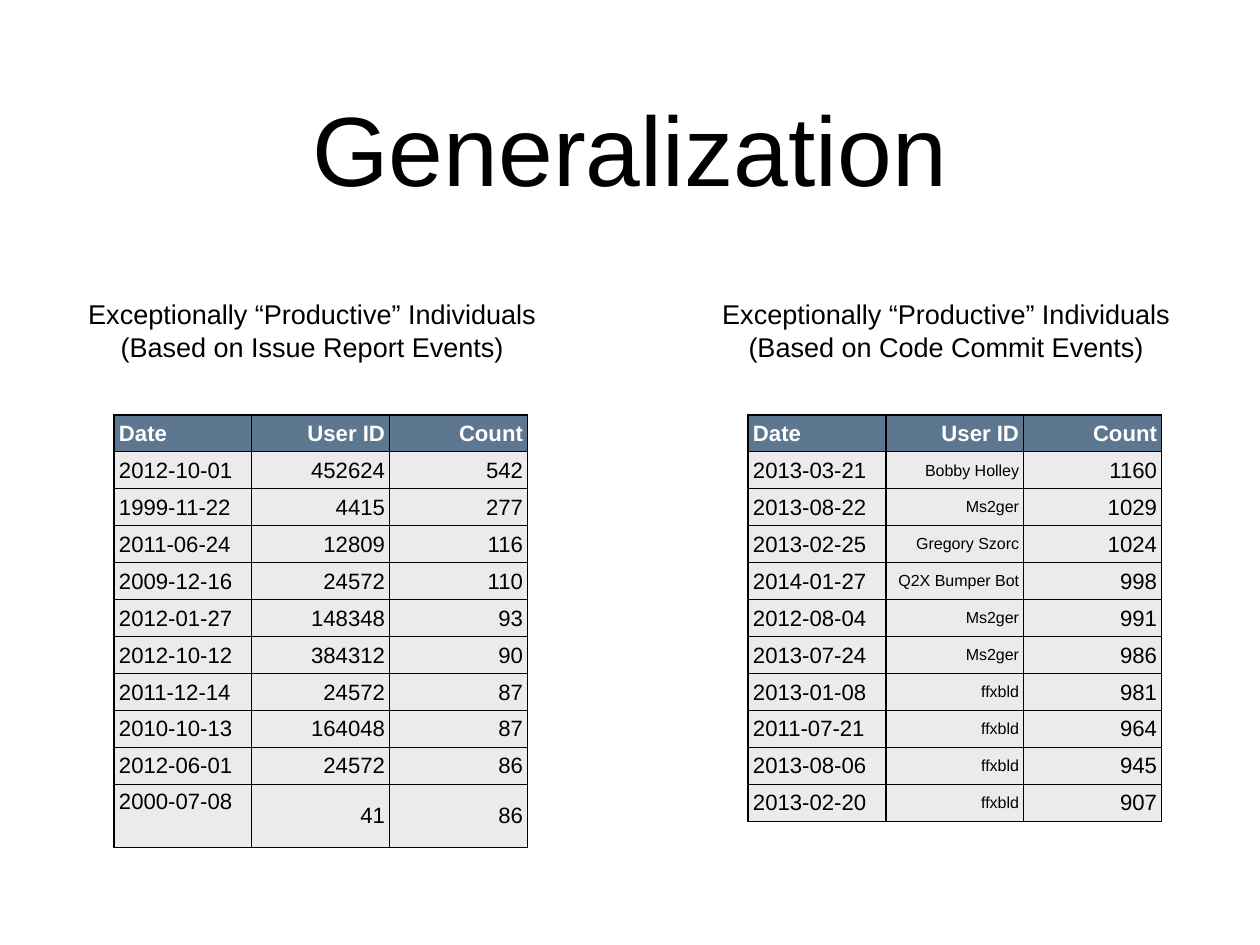
"""Build the Generalization slide with its two tables of productive individuals."""
from lxml import etree
from pptx import Presentation
from pptx.dml.color import RGBColor
from pptx.enum.text import MSO_ANCHOR, PP_ALIGN
from pptx.oxml.ns import qn
from pptx.util import Pt

LEFT, CENTER, RIGHT = PP_ALIGN.LEFT, PP_ALIGN.CENTER, PP_ALIGN.RIGHT
TOP, MIDDLE = MSO_ANCHOR.TOP, MSO_ANCHOR.MIDDLE

EMU_PER_PX = 10321
SLIDE_WIDTH, SLIDE_HEIGHT = 1260, 945
SIDE_SHIFT = 634
COLUMN_WIDTH, ROW_HEIGHT, LAST_ISSUE_HEIGHT = 138, 37, 63
INSET = 5
FONT = "Arial"
COLORS = {"ink": "000000", "header_text": "FFFFFF", "header": "5E7790", "body": "EBEBEB"}

HEADINGS = ("Date", "User ID", "Count")
ISSUE_REPORTS = [
    ("2012-10-01", "452624", "542"),
    ("1999-11-22", "4415", "277"),
    ("2011-06-24", "12809", "116"),
    ("2009-12-16", "24572", "110"),
    ("2012-01-27", "148348", "93"),
    ("2012-10-12", "384312", "90"),
    ("2011-12-14", "24572", "87"),
    ("2010-10-13", "164048", "87"),
    ("2012-06-01", "24572", "86"),
    ("2000-07-08", "41", "86"),
]
CODE_COMMITS = [
    ("2013-03-21", "Bobby Holley", "1160"),
    ("2013-08-22", "Ms2ger", "1029"),
    ("2013-02-25", "Gregory Szorc", "1024"),
    ("2014-01-27", "Q2X Bumper Bot", "998"),
    ("2012-08-04", "Ms2ger", "991"),
    ("2013-07-24", "Ms2ger", "986"),
    ("2013-01-08", "ffxbld", "981"),
    ("2011-07-21", "ffxbld", "964"),
    ("2013-08-06", "ffxbld", "945"),
    ("2013-02-20", "ffxbld", "907"),
]


def px(length):
    """Turn whole pixels into EMU."""
    return length * EMU_PER_PX


def write(frame, text, size=18, color="ink", bold=False, align=CENTER):
    """Write each line of text as a formatted paragraph."""
    frame.text = text
    for paragraph in frame.paragraphs:
        paragraph.alignment = align
        font = paragraph.runs[0].font
        font.name, font.size, font.bold = FONT, Pt(size), bold
        font.color.rgb = RGBColor.from_string(COLORS[color])


def set_insets(holder, inset):
    """Give a text frame or cell equal margins on all sides."""
    holder.margin_left = holder.margin_right = px(inset)
    holder.margin_top = holder.margin_bottom = px(inset)


def add_caption(slide, text, box, size, inset=0, wrap=True):
    """Add a vertically centred text box."""
    frame = slide.shapes.add_textbox(*map(px, box)).text_frame
    frame.word_wrap = wrap
    frame.vertical_anchor = MIDDLE
    set_insets(frame, inset)
    write(frame, text, size=size)


def outline_cell(cell):
    """Draw a thin ink border on every side of a cell."""
    properties = cell._tc.get_or_add_tcPr()
    for side in ("lnL", "lnR", "lnT", "lnB"):
        border = etree.SubElement(properties, qn(f"a:{side}"), w=str(Pt(1)))
        fill = etree.SubElement(border, qn("a:solidFill"))
        etree.SubElement(fill, qn("a:srgbClr"), val=COLORS["ink"])


def fill_cell(cell, text, background, **text_format):
    """Outline, colour and write one cell."""
    outline_cell(cell)
    cell.fill.solid()
    cell.fill.fore_color.rgb = RGBColor.from_string(COLORS[background])
    cell.vertical_anchor = MIDDLE
    set_insets(cell, INSET)
    write(cell.text_frame, text, **text_format)


def add_ranking(slide, records, left, user_size):
    """Add a table of dates, users and counts and return it."""
    rows = [HEADINGS, *records]
    table = slide.shapes.add_table(
        len(rows), len(HEADINGS), px(left), px(415),
        px(COLUMN_WIDTH * len(HEADINGS)), px(ROW_HEIGHT * len(rows)),
    ).table
    table.first_row = table.horz_banding = False
    for column in table.columns:
        column.width = px(COLUMN_WIDTH)
    for row_index, row in enumerate(rows):
        table.rows[row_index].height = px(ROW_HEIGHT)
        for column_index, value in enumerate(row):
            cell = table.cell(row_index, column_index)
            align = RIGHT if column_index else LEFT
            if row_index == 0:
                fill_cell(cell, value, "header", color="header_text", bold=True, align=align)
            else:
                size = user_size if column_index == 1 else 18
                fill_cell(cell, value, "body", size=size, align=align)
    return table


def main():
    """Build and save the slide."""
    deck = Presentation()
    deck.slide_width, deck.slide_height = px(SLIDE_WIDTH), px(SLIDE_HEIGHT)
    slide = deck.slides.add_slide(deck.slide_layouts[6])

    add_caption(slide, "Generalization", (92, 43, 1076, 209), 80)

    rankings = []
    sides = (("Issue Report", ISSUE_REPORTS, 18), ("Code Commit", CODE_COMMITS, 13))
    for side, (event, records, user_size) in enumerate(sides):
        shift = side * SIDE_SHIFT
        heading = f"Exceptionally “Productive” Individuals \n(Based on {event} Events)"
        add_caption(slide, heading, (80 + shift, 293, 464, 74), 22, inset=INSET, wrap=False)
        rankings.append(add_ranking(slide, records, 114 + shift, user_size))

    issue_ranking = rankings[0]
    last_row = len(ISSUE_REPORTS)
    issue_ranking.rows[last_row].height = px(LAST_ISSUE_HEIGHT)
    issue_ranking.cell(last_row, 0).vertical_anchor = TOP

    deck.save("out.pptx")


if __name__ == "__main__":
    main()
